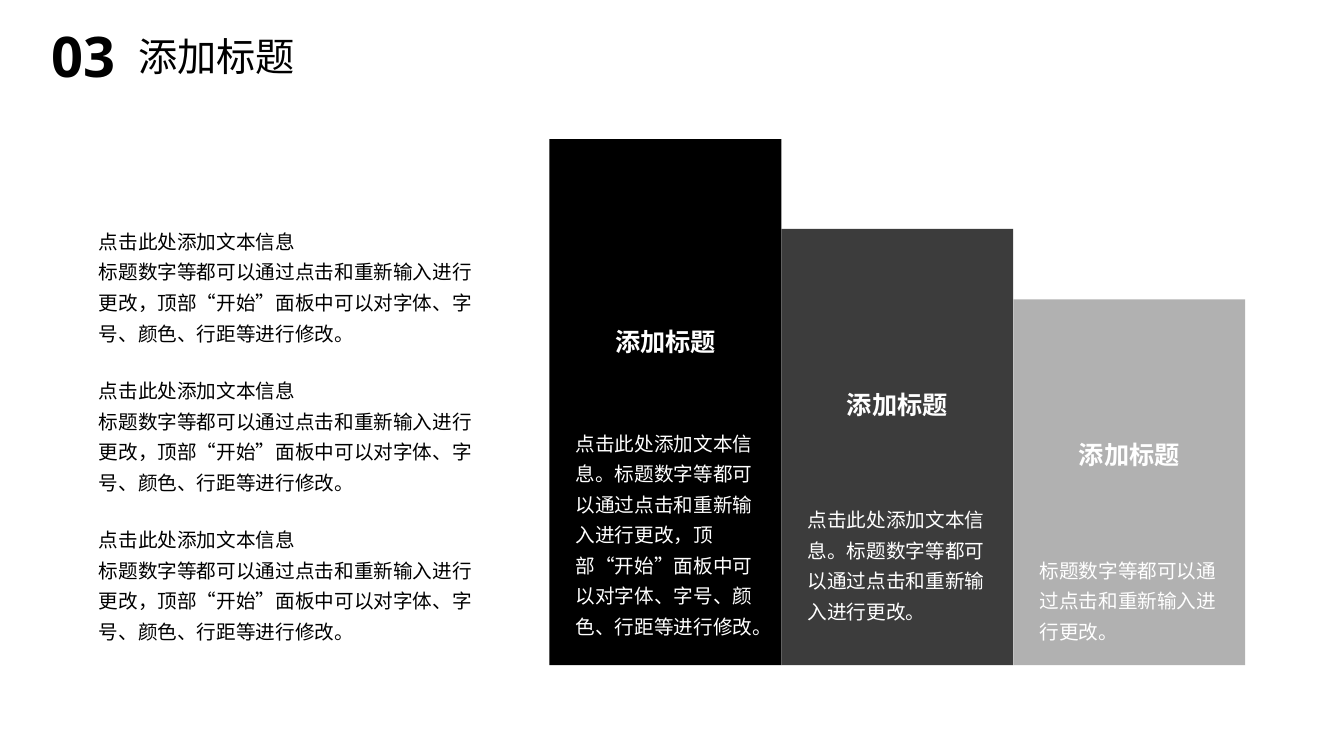
"""Build a slide with three stepped columns and three notes."""
from lxml import etree
from pptx import Presentation
from pptx.dml.color import RGBColor
from pptx.enum.lang import MSO_LANGUAGE_ID
from pptx.enum.shapes import MSO_SHAPE
from pptx.enum.text import MSO_ANCHOR, MSO_AUTO_SIZE, PP_ALIGN
from pptx.oxml.ns import qn
from pptx.util import Inches, Pt

RECT = MSO_SHAPE.RECTANGLE
TOP, MID = MSO_ANCHOR.TOP, MSO_ANCHOR.MIDDLE
LEFT, CENTER = PP_ALIGN.LEFT, PP_ALIGN.CENTER
GROW, FIXED = MSO_AUTO_SIZE.SHAPE_TO_FIT_TEXT, MSO_AUTO_SIZE.NONE
CHINESE = MSO_LANGUAGE_ID.SIMPLIFIED_CHINESE
SANS, ROUND, OPEN = "Noto Sans CJK SC", "TeX Gyre Adventor", "Open Sans"


def tint(code):
    return RGBColor.from_string(code)


def write(shape, lines, face, size, color, frame, para, bold=False):
    box = shape.text_frame
    for key, value in frame.items():
        setattr(box, key, value)
    box.text = "\n".join(lines)
    for part in box.paragraphs:
        for key, value in para.items():
            setattr(part, key, value)
        for run in part.runs:
            font = run.font
            look = dict(name=face, size=Pt(size), bold=bold, language_id=CHINESE)
            for key, value in look.items():
                setattr(font, key, value)
            font.color.rgb = tint(color)
            latin = run._r.rPr.find(qn("a:latin"))
            east = etree.Element(qn("a:ea"), typeface=face)
            latin.addnext(east)


deck = Presentation()
deck.slide_width, deck.slide_height = Inches(13.33), Inches(7.5)
slide = deck.slides.add_slide(deck.slide_layouts[5])
shapes = slide.shapes

pad = dict(margin_left=Inches(0.13), margin_right=Inches(0.13),
           margin_top=Inches(0.07), margin_bottom=Inches(0.07),
           vertical_anchor=TOP, auto_size=GROW)
body = dict(pad, word_wrap=True)
label = dict(pad, word_wrap=False)
head = dict(vertical_anchor=MID, auto_size=FIXED, word_wrap=True)
loose = dict(alignment=LEFT, line_spacing=1.3)
tight = dict(alignment=LEFT, line_spacing=0.9, space_before=Pt(10))
middle = dict(alignment=CENTER)

name = "添加标题"
lead = "点击此处添加文本信息"
edit = "标题数字等都可以通过点击和重新输入进行更改"
more = edit + "，顶部“开始”面板中可以对字体、字号、颜色、行距等进行修改。"

start, col, base = 5.45, 2.3, 6.6
bars = [
    (1.38, "000000", 3.17, 4.14, 2.25, lead + "。" + more),
    (2.27, "3C3C3C", 3.79, 4.9, 1.33, lead + "。" + edit + "。"),
    (2.97, "B1B1B1", 4.29, 5.4, 1.02, edit + "。"),
]
for i, (top, color, row, low, tall, text) in enumerate(bars):
    x = start + i * col
    bar = shapes.add_shape(RECT, Inches(x), Inches(top), Inches(col), Inches(base - top))
    bar.shadow.inherit = False
    bar.fill.solid()
    bar.fill.fore_color.rgb = tint(color)
    bar.line.fill.background()
    note = shapes.add_textbox(Inches(x + 0.13), Inches(low), Inches(2.02), Inches(tall))
    write(note, [text], SANS, 14, "FFFFFF", body, loose)
    tag = shapes.add_textbox(Inches(x + 0.51), Inches(row), Inches(1.28), Inches(0.44))
    write(tag, [name], ROUND, 18, "FFFFFF", label, middle, True)

first, step = 2.14, 1.48
for i in range(3):
    note = shapes.add_textbox(Inches(0.85), Inches(first + i * step), Inches(4), Inches(1.33))
    write(note, [lead, more], SANS, 14, "000000", body, loose)

mark = shapes.add_textbox(Inches(0.41), Inches(0.27), Inches(0.88), Inches(0.64))
write(mark, ["03"], OPEN, 40, "000000", head, tight, True)

title = shapes.title
place = dict(left=1.27, top=0.33, width=2.04, height=0.5)
for key, value in place.items():
    setattr(title, key, Inches(value))
write(title, [name], ROUND, 28, "000000", head, tight)

deck.save("out.pptx")
